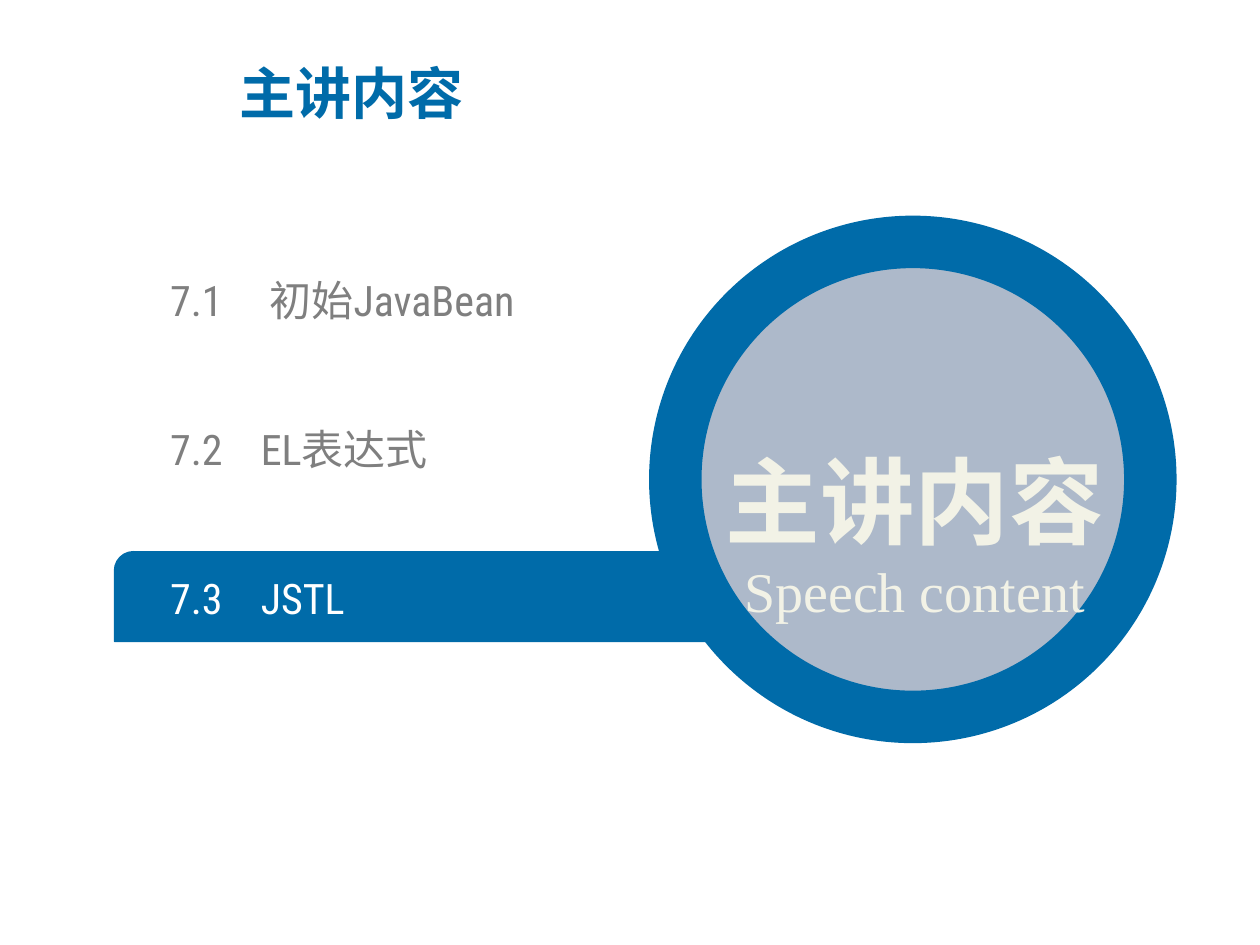
from dataclasses import dataclass

from pptx import Presentation
from pptx import util as u
from pptx.dml.color import RGBColor
from pptx.enum import shapes, text
from pptx.oxml.xmlchemy import OxmlElement

BLUE, GREY, WHITE, CREAM = "006BA9", "7F7F7F", "FFFFFF", "F2F2E6"
HAN, LATIN, SERIF = "Noto Sans CJK SC", "Roboto Condensed", "Times New Roman"


@dataclass
class Box:
    left: float
    top: float
    width: float
    height: float

    def emu(self) -> list:
        return [u.Inches(n) for n in (self.left, self.top, self.width, self.height)]


@dataclass
class Style:
    size: int
    color: str
    font: str
    bold: bool = False


@dataclass
class Topic:
    number: str
    name: str
    color: str = GREY
    indent: float = 0.72


def rgb(code: str) -> RGBColor:
    return RGBColor.from_string(code)


def add_shape(slide, kind, box: Box, fill: str, line: float):
    shape = slide.shapes.add_shape(kind, *box.emu())
    shape.shadow.inherit = False
    shape.fill.solid()
    shape.fill.fore_color.rgb = rgb(fill)
    shape.line.color.rgb = rgb(BLUE)
    shape.line.width = u.Pt(line)
    return shape


def add_frame(slide, box: Box, inset: bool = True):
    frame = slide.shapes.add_textbox(*box.emu()).text_frame
    frame.word_wrap = True
    frame.vertical_anchor = text.MSO_ANCHOR.MIDDLE
    if not inset:
        frame.margin_left = frame.margin_right = 0
        frame.margin_top = frame.margin_bottom = 0
    return frame


def write(para, words: str, style: Style) -> None:
    para.text = words
    for run in para.runs:
        font = run.font
        font.size, font.bold, font.name = u.Pt(style.size), style.bold, style.font
        font.color.rgb = rgb(style.color)
        asian = OxmlElement("a:ea")
        asian.set("typeface", HAN)
        run._r.get_or_add_rPr().append(asian)


def add_topic(slide, topic: Topic, top: float) -> None:
    """Write number and name, with a hanging indent between them."""
    para = add_frame(slide, Box(1.35, top, 4.7, 0.4), inset=False).paragraphs[0]
    write(para, f"{topic.number}\t{topic.name}", Style(24, topic.color, LATIN))
    props = para._p.get_or_add_pPr()
    props.set("marL", str(u.Inches(topic.indent)))
    props.set("indent", str(-u.Inches(topic.indent)))


def add_badge(slide) -> None:
    add_shape(slide, shapes.MSO_SHAPE.OVAL, Box(5.36, 1.92, 3.77, 3.77), "ADB9CA", 30)
    frame = add_frame(slide, Box(5.31, 3.01, 3.9, 2))
    head, sub = frame.paragraphs[0], frame.add_paragraph()
    write(head, "主讲内容", Style(54, CREAM, HAN, True))
    write(sub, "Speech content", Style(32, CREAM, SERIF))
    head.line_spacing = 1.5
    head.alignment = sub.alignment = text.PP_ALIGN.CENTER


def main() -> None:
    deck = Presentation()
    deck.slide_width, deck.slide_height = u.Inches(10), u.Inches(7.5)
    slide = deck.slides.add_slide(deck.slide_layouts[6])

    bar = add_shape(slide, shapes.MSO_SHAPE.ROUND_2_DIAG_RECTANGLE,
                    Box(0.91, 4.38, 6.25, 0.71), BLUE, 1)
    bar.adjustments[0], bar.adjustments[1] = 0.21, 0

    topics = [
        Topic("7.1", "初始JavaBean", indent=0.79),
        Topic("7.2", "EL表达式"),
        Topic("7.3", "JSTL", WHITE),
    ]
    for row, topic in enumerate(topics):
        add_topic(slide, topic, 2.18 + 1.18 * row)

    add_badge(slide)
    title = add_frame(slide, Box(1.8, 0.43, 5.41, 0.61))
    write(title.paragraphs[0], "主讲内容", Style(32, BLUE, HAN, True))
    deck.save("out.pptx")


if __name__ == "__main__":
    main()
